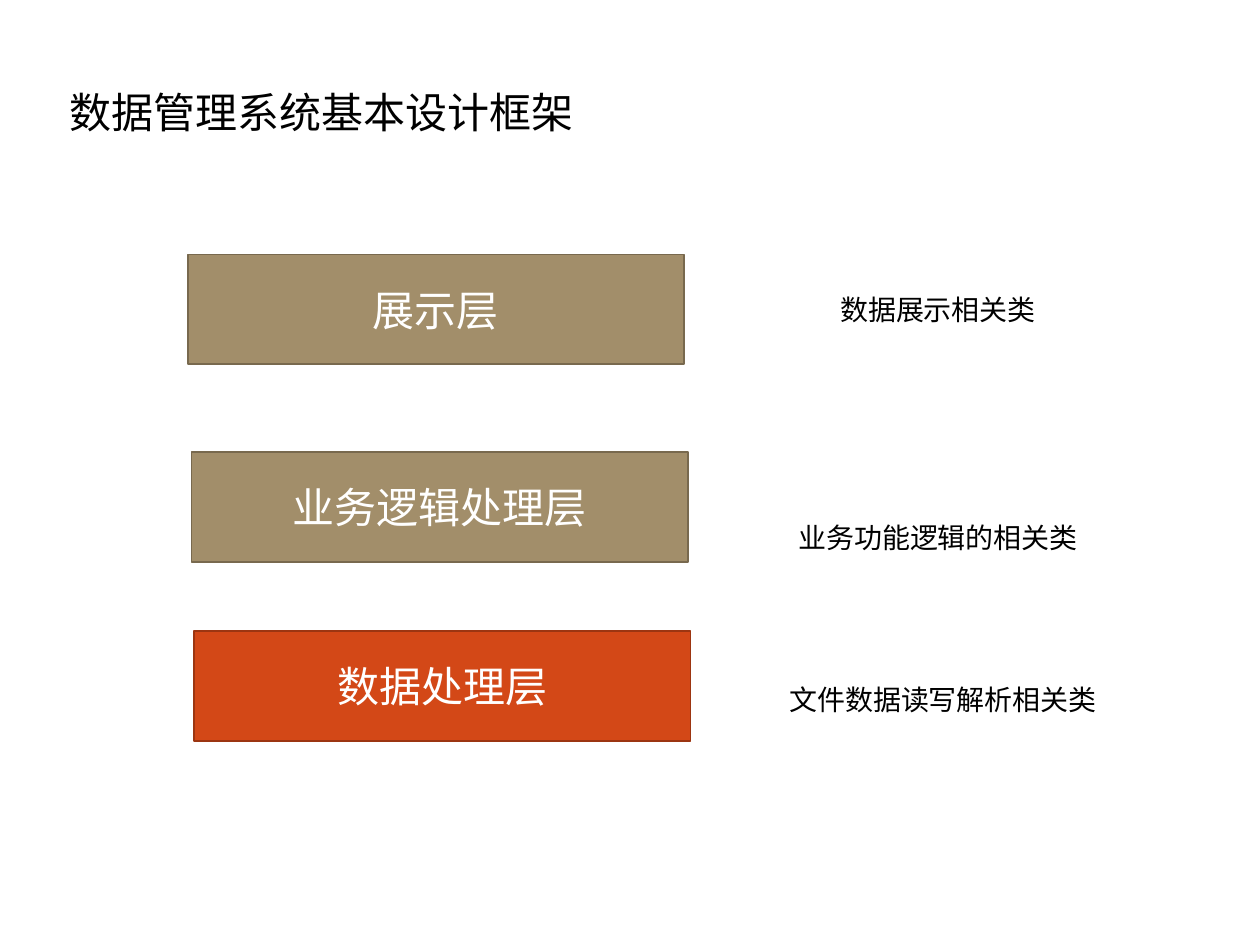
from pptx import Presentation
from pptx.dml.color import RGBColor
from pptx.enum.shapes import MSO_SHAPE
from pptx.enum.text import MSO_ANCHOR, MSO_AUTO_SIZE, PP_ALIGN
from pptx.util import Inches, Pt

BLACK = RGBColor(0x00, 0x00, 0x00)
WHITE = RGBColor(0xFF, 0xFF, 0xFF)
TAN = RGBColor(0xA2, 0x8E, 0x6A)
DARK_TAN = RGBColor(0x78, 0x69, 0x4E)
ORANGE = RGBColor(0xD3, 0x48, 0x17)
DARK_ORANGE = RGBColor(0x9C, 0x35, 0x11)

LAYER_WIDTH, LAYER_HEIGHT = Inches(3.94), Inches(0.87)
NOTE_HEIGHT = Inches(0.37)


def write_centred(shape, text, font_name, size, color):
    frame = shape.text_frame
    frame.text = text
    paragraph = frame.paragraphs[0]
    paragraph.alignment = PP_ALIGN.CENTER
    font = paragraph.runs[0].font
    font.name = font_name
    font.size = Pt(size)
    font.color.rgb = color


def fit_to_text(shape):
    shape.text_frame.word_wrap = False
    shape.text_frame.auto_size = MSO_AUTO_SIZE.SHAPE_TO_FIT_TEXT
    shape.text_frame.vertical_anchor = MSO_ANCHOR.TOP


prs = Presentation()
prs.slide_width, prs.slide_height = Inches(10), Inches(7.5)
slide = prs.slides.add_slide(prs.slide_layouts[5])

title = slide.shapes.title
title.left, title.top = Inches(0.43), Inches(0.64)
title.width, title.height = Inches(4.24), Inches(0.5)
write_centred(title, "数据管理系统基本设计框架", "Times New Roman", 24, BLACK)
fit_to_text(title)

# layer name, left, top, fill, outline; note, left, top, width
layers = [
    ("数据处理层", 1.54, 5.01, ORANGE, DARK_ORANGE,
     "文件数据读写解析相关类", 6.15, 5.37, 2.67),
    ("业务逻辑处理层", 1.52, 3.59, TAN, DARK_TAN,
     "业务功能逻辑的相关类", 6.22, 4.08, 2.45),
    ("展示层", 1.49, 2.02, TAN, DARK_TAN,
     "数据展示相关类", 6.56, 2.27, 1.77),
]
for name, left, top, fill, outline, note_text, note_left, note_top, note_width in layers:
    layer = slide.shapes.add_shape(
        MSO_SHAPE.RECTANGLE, Inches(left), Inches(top), LAYER_WIDTH, LAYER_HEIGHT)
    layer.shadow.inherit = False
    layer.fill.solid()
    layer.fill.fore_color.rgb = fill
    layer.line.color.rgb = outline
    layer.line.width = Pt(1)
    layer.text_frame.vertical_anchor = MSO_ANCHOR.MIDDLE
    write_centred(layer, name, "Roboto Slab", 24, WHITE)

    note = slide.shapes.add_textbox(
        Inches(note_left), Inches(note_top), Inches(note_width), NOTE_HEIGHT)
    write_centred(note, note_text, "Times New Roman", 16, BLACK)
    fit_to_text(note)

prs.save("out.pptx")
